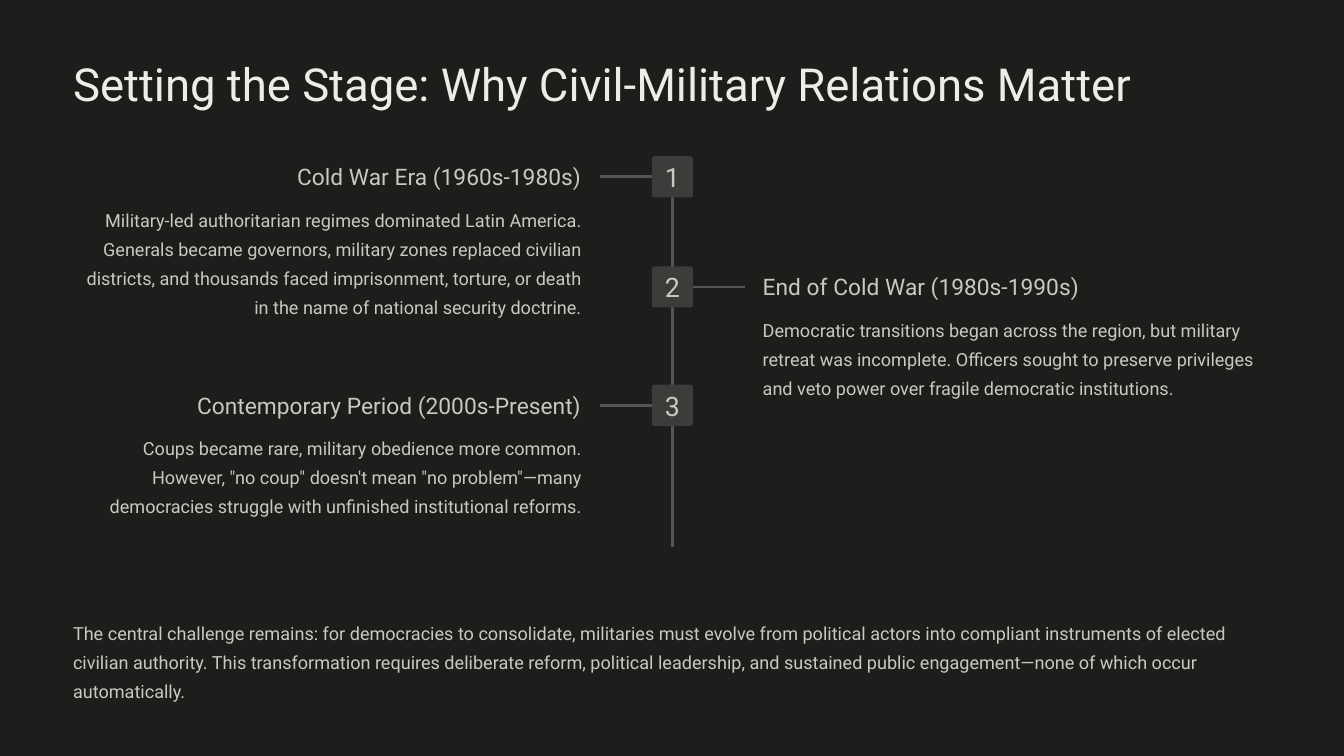
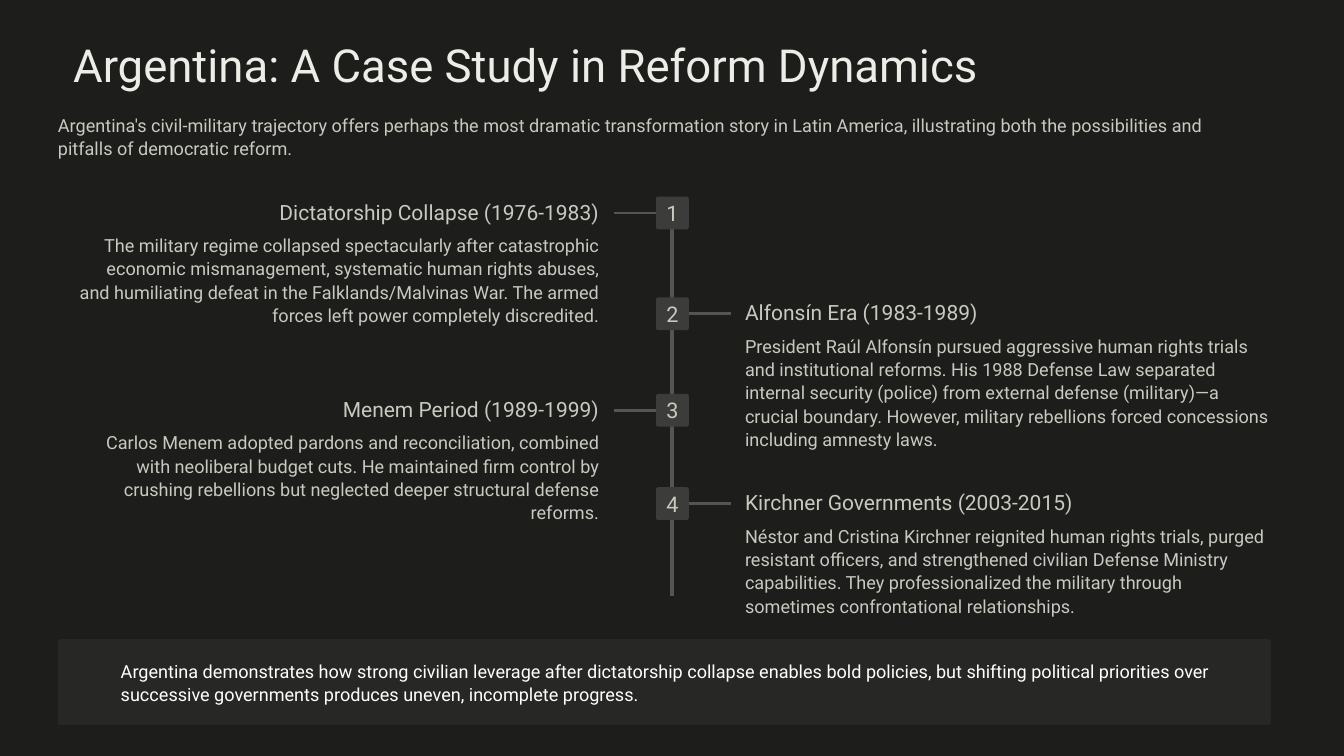
from lxml.etree import SubElement
from pptx import Presentation
from pptx.dml.color import RGBColor
from pptx.enum.shapes import MSO_CONNECTOR, MSO_SHAPE
from pptx.enum.text import MSO_ANCHOR, MSO_AUTO_SIZE, PP_ALIGN
from pptx.oxml.ns import qn
from pptx.util import Emu, Pt

PX = 9144  # EMU in one px, 100 px to the inch
WIDTH, HEIGHT, MARGIN = 1600, 900, 87
FONT = "Roboto"
BACKGROUND, TITLE, TEXT = "1D1D1B", "EDEDE8", "C9C9C0"
LINE, BADGE, PANEL, WHITE = "555553", "3C3C3A", "272725", "FFFFFF"

# Events: side, badge top, heading, body, body height
SLIDES = [
    dict(
        title="Setting the Stage: Why Civil-Military Relations Matter",
        title_box=(MARGIN, 64, 1426, 136), title_leading=48.5,
        notes=[
            ("The central challenge remains: for democracies to consolidate, militaries must evolve from "
             "political actors into compliant instruments of elected civilian authority. This transformation "
             "requires deliberate reform, political leadership, and sustained public engagement—none of which "
             "occur automatically.", (MARGIN, 732, 1426, 104)),
        ],
        style=dict(badge=49, number=23, tick=62, column=605, heading_size=19.5, heading_leading=24,
                   heading_drop=7, body_drop=54, leading=25, spine_end=651, spine_width=2.25),
        events=[
            ("left", 186, "Cold War Era (1960s-1980s)",
             "Military-led authoritarian regimes dominated Latin America. Generals became governors, military "
             "zones replaced civilian districts, and thousands faced imprisonment, torture, or death in the "
             "name of national security doctrine.", 174),
            ("right", 317, "End of Cold War (1980s-1990s)",
             "Democratic transitions began across the region, but military retreat was incomplete. Officers "
             "sought to preserve privileges and veto power over fragile democratic institutions.", 139),
            ("left", 458, "Contemporary Period (2000s-Present)",
             "Coups became rare, military obedience more common. However, \"no coup\" doesn't mean \"no "
             "problem\"—many democracies struggle with unfinished institutional reforms.", 139),
        ],
    ),
    dict(
        title="Argentina: A Case Study in Reform Dynamics",
        title_box=(MARGIN, 55, 1426, 54), title_leading=39,
        notes=[
            ("Argentina's civil-military trajectory offers perhaps the most dramatic transformation story in "
             "Latin America, illustrating both the possibilities and pitfalls of democratic reform.",
             (69, 134, 1426, 56)),
        ],
        style=dict(badge=39, number=18.5, tick=50, column=626, heading_size=18, heading_leading=19.5,
                   heading_drop=6, body_drop=43, leading=20, spine_end=710, spine_width=3.5),
        events=[
            ("left", 234, "Dictatorship Collapse (1976-1983)",
             "The military regime collapsed spectacularly after catastrophic economic mismanagement, "
             "systematic human rights abuses, and humiliating defeat in the Falklands/Malvinas War. The armed "
             "forces left power completely discredited.", 111),
            ("right", 354, "Alfonsín Era (1983-1989)",
             "President Raúl Alfonsín pursued aggressive human rights trials and institutional reforms. His "
             "1988 Defense Law separated internal security (police) from external defense (military)—a crucial "
             "boundary. However, military rebellions forced concessions including amnesty laws.", 111),
            ("left", 469, "Menem Period (1989-1999)",
             "Carlos Menem adopted pardons and reconciliation, combined with neoliberal budget cuts. He "
             "maintained firm control by crushing rebellions but neglected deeper structural defense reforms.",
             83),
            ("right", 580, "Kirchner Governments (2003-2015)",
             "Néstor and Cristina Kirchner reignited human rights trials, purged resistant officers, and "
             "strengthened civilian Defense Ministry capabilities. They professionalized the military through "
             "sometimes confrontational relationships.", 111),
        ],
        callout=("Argentina demonstrates how strong civilian leverage after dictatorship collapse enables bold "
                 "policies, but shifting political priorities over successive governments produces uneven, "
                 "incomplete progress.", (69, 761, 1444, 102)),
    ),
]


def px(length):
    return Emu(round(length * PX))


def rgb(value):
    return RGBColor.from_string(value)


def write(shape, text, size=15.5, color=TEXT, leading=None, align=PP_ALIGN.LEFT,
          anchor=MSO_ANCHOR.TOP, insets=(0, 0, 0, 0)):
    """Fill a shape with one formatted paragraph; insets are left, top, right, bottom."""
    frame = shape.text_frame
    frame.word_wrap = True
    frame.auto_size = MSO_AUTO_SIZE.NONE
    frame.vertical_anchor = anchor
    frame.margin_left, frame.margin_top, frame.margin_right, frame.margin_bottom = map(px, insets)
    para = frame.paragraphs[0]
    para.alignment = align
    if leading:
        para.line_spacing = Pt(leading)
    span = para.add_run()
    span.text = text
    span.font.name = FONT
    span.font.size = Pt(size)
    span.font.color.rgb = rgb(color)


def add_text(page, text, box, **kwargs):
    write(page.shapes.add_textbox(*map(px, box)), text, **kwargs)


def add_panel(page, box, fill, rounding):
    panel = page.shapes.add_shape(MSO_SHAPE.ROUNDED_RECTANGLE, *map(px, box))
    panel.adjustments[0] = rounding
    panel.shadow.inherit = False
    panel.fill.solid()
    panel.fill.fore_color.rgb = rgb(fill)
    panel.line.fill.background()
    return panel


def add_line(page, start, end, width=2.25):
    line = page.shapes.add_connector(MSO_CONNECTOR.STRAIGHT, *map(px, start + end))
    line.line.color.rgb = rgb(LINE)
    line.line.width = Pt(width)
    SubElement(line._element.spPr, qn("a:effectLst"))
    return line


def add_timeline(page, events, style):
    size, column = style["badge"], style["column"]
    badge_left = WIDTH // 2 - size // 2
    center = badge_left + size / 2
    spine = add_line(page, (center, events[0][1]), (center, style["spine_end"]), style["spine_width"])
    for number, (side, top, heading, body, body_height) in enumerate(events, 1):
        badge = add_panel(page, (badge_left, top, size, size), BADGE, 0.067)
        write(badge, str(number), size=style["number"], align=PP_ALIGN.CENTER, anchor=MSO_ANCHOR.MIDDLE)
        if number == 1:
            spine.begin_connect(badge, 0)

        if side == "left":
            left, align, site = MARGIN, PP_ALIGN.RIGHT, 1
            edge, tip = badge_left, badge_left - style["tick"]
        else:
            left, align, site = WIDTH - MARGIN - column, PP_ALIGN.LEFT, 3
            edge, tip = badge_left + size, badge_left + size + style["tick"]
        middle = top + size / 2
        add_line(page, (edge, middle), (tip, middle)).begin_connect(badge, site)
        add_text(page, heading, (left, top + style["heading_drop"], column, 34), align=align,
                 size=style["heading_size"], leading=style["heading_leading"])
        add_text(page, body, (left, top + style["body_drop"], column, body_height), align=align,
                 leading=style["leading"])


def add_page(deck, content):
    page = deck.slides.add_slide(deck.slide_layouts.get_by_name("Title Only"))
    title = page.shapes.title
    title.left, title.top, title.width, title.height = map(px, content["title_box"])
    write(title, content["title"], size=39, color=TITLE, leading=content["title_leading"])
    leading = content["style"]["leading"]
    for text, box in content["notes"]:
        add_text(page, text, box, leading=leading)
    add_timeline(page, content["events"], content["style"])
    if "callout" in content:
        text, box = content["callout"]
        write(add_panel(page, box, PANEL, 0.026), text, color=WHITE, leading=leading, insets=(74, 22, 17, 0))


def main():
    deck = Presentation()
    deck.slide_width, deck.slide_height = px(WIDTH), px(HEIGHT)
    backdrop = deck.slide_master.background.fill
    backdrop.solid()
    backdrop.fore_color.rgb = rgb(BACKGROUND)
    for content in SLIDES:
        add_page(deck, content)
    deck.save("out.pptx")


if __name__ == "__main__":
    main()
